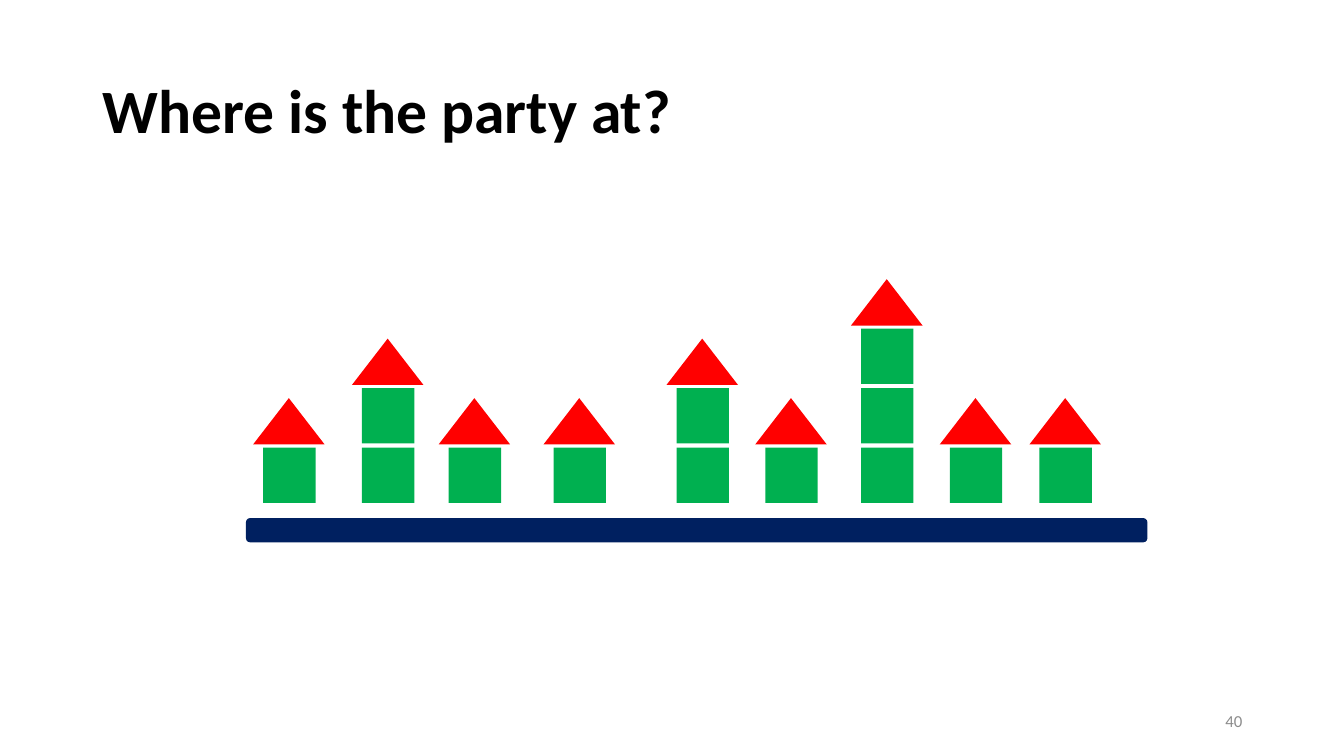
from pptx import Presentation
from pptx.dml.color import RGBColor
from pptx.enum.shapes import MSO_SHAPE
from pptx.enum.text import MSO_ANCHOR, PP_ALIGN
from pptx.util import Pt

RECT = MSO_SHAPE.RECTANGLE
ROOF = MSO_SHAPE.ISOSCELES_TRIANGLE
ROUND = MSO_SHAPE.ROUNDED_RECTANGLE
MIDDLE = MSO_ANCHOR.MIDDLE
LEFT = PP_ALIGN.LEFT
RIGHT = PP_ALIGN.RIGHT

SCALE = 9144
STEP = 59
HOUSES = [(261, 1), (359, 2), (445, 1), (549, 1), (671, 2),
          (759, 1), (854, 3), (942, 1), (1031, 1)]


def px(*sizes):
    return [size * SCALE for size in sizes]


def color(code):
    return RGBColor.from_string(code)


def write(frame, text, font="Calibri", size=12, ink="000000",
          bold=False, align=LEFT, space=1.0):
    frame.word_wrap = True
    frame.vertical_anchor = MIDDLE
    line = frame.paragraphs[0]
    line.alignment = align
    line.line_spacing = space
    run = line.add_run()
    run.text = text
    run.font.name = font
    run.font.size = Pt(size)
    run.font.bold = bold
    run.font.color.rgb = color(ink)


class Painter:
    green = "00B050"
    red = "FF0000"
    navy = "002060"
    gray = "8C8C8C"

    def __init__(self, slide):
        self.slide = slide

    def text(self, box, text, **style):
        label = self.slide.shapes.add_textbox(*px(*box))
        write(label.text_frame, text, **style)

    def shape(self, kind, box, fill):
        shape = self.slide.shapes.add_shape(kind, *px(*box))
        shape.shadow.inherit = False
        shape.fill.solid()
        shape.fill.fore_color.rgb = color(fill)
        shape.line.fill.background()

    def house(self, left, floors):
        for floor in range(floors):
            self.shape(RECT, (left, 444 - STEP * floor, 52, 55), self.green)
        top = 395 - STEP * (floors - 1)
        self.shape(ROOF, (left - 10, top, 71, 46), self.red)


def main():
    deck = Presentation()
    deck.slide_width, deck.slide_height = px(1333, 750)
    paint = Painter(deck.slides.add_slide(deck.slide_layouts[6]))
    paint.text((92, 40, 1150, 145), "Where is the party at?",
               size=44, bold=True, space=0.9)
    paint.text((942, 695, 300, 40), "40", ink=paint.gray, align=RIGHT)
    for left, floors in HOUSES:
        paint.house(left, floors)
    paint.shape(ROUND, (244, 514, 894, 24), paint.navy)
    deck.save("out.pptx")


if __name__ == "__main__":
    main()
